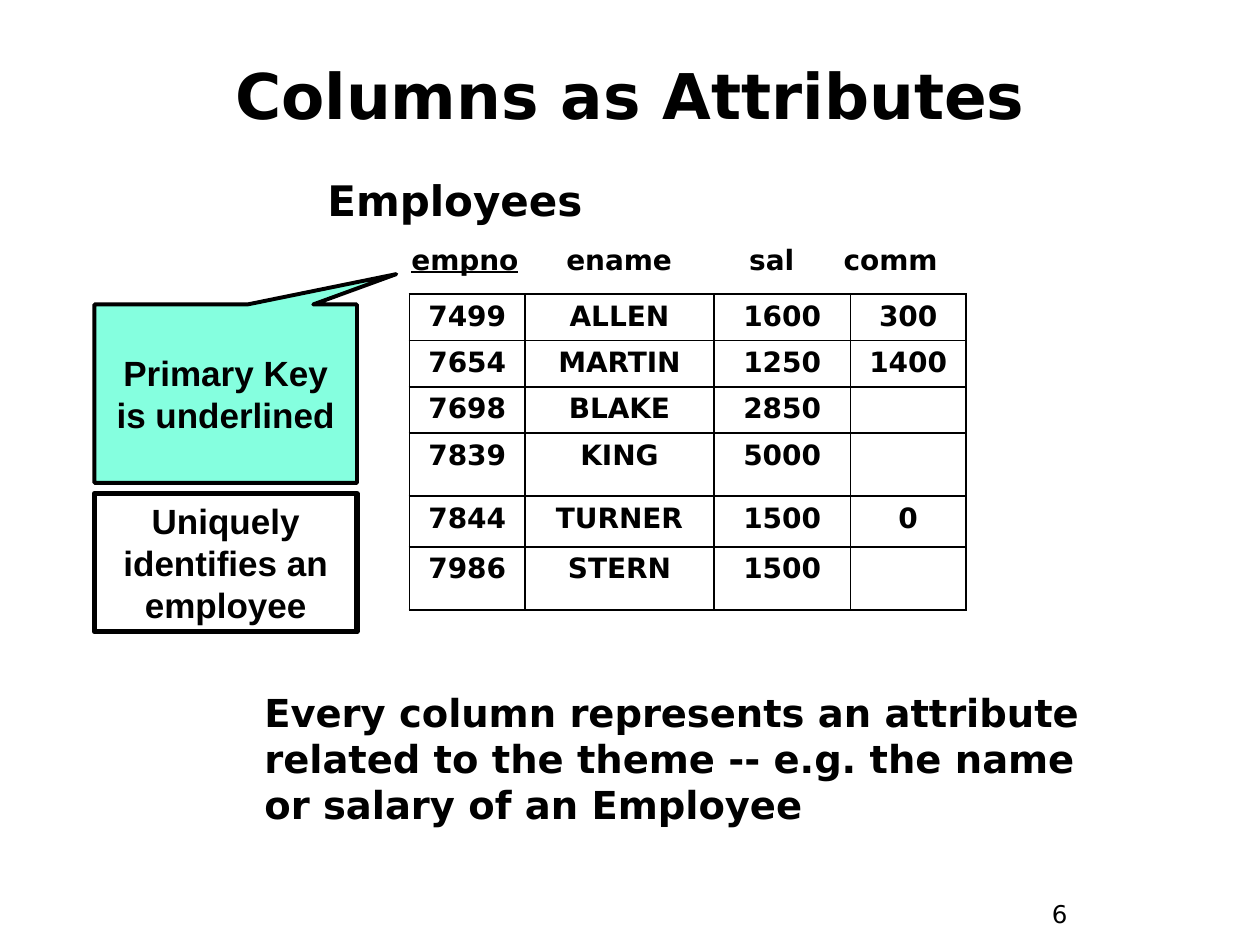
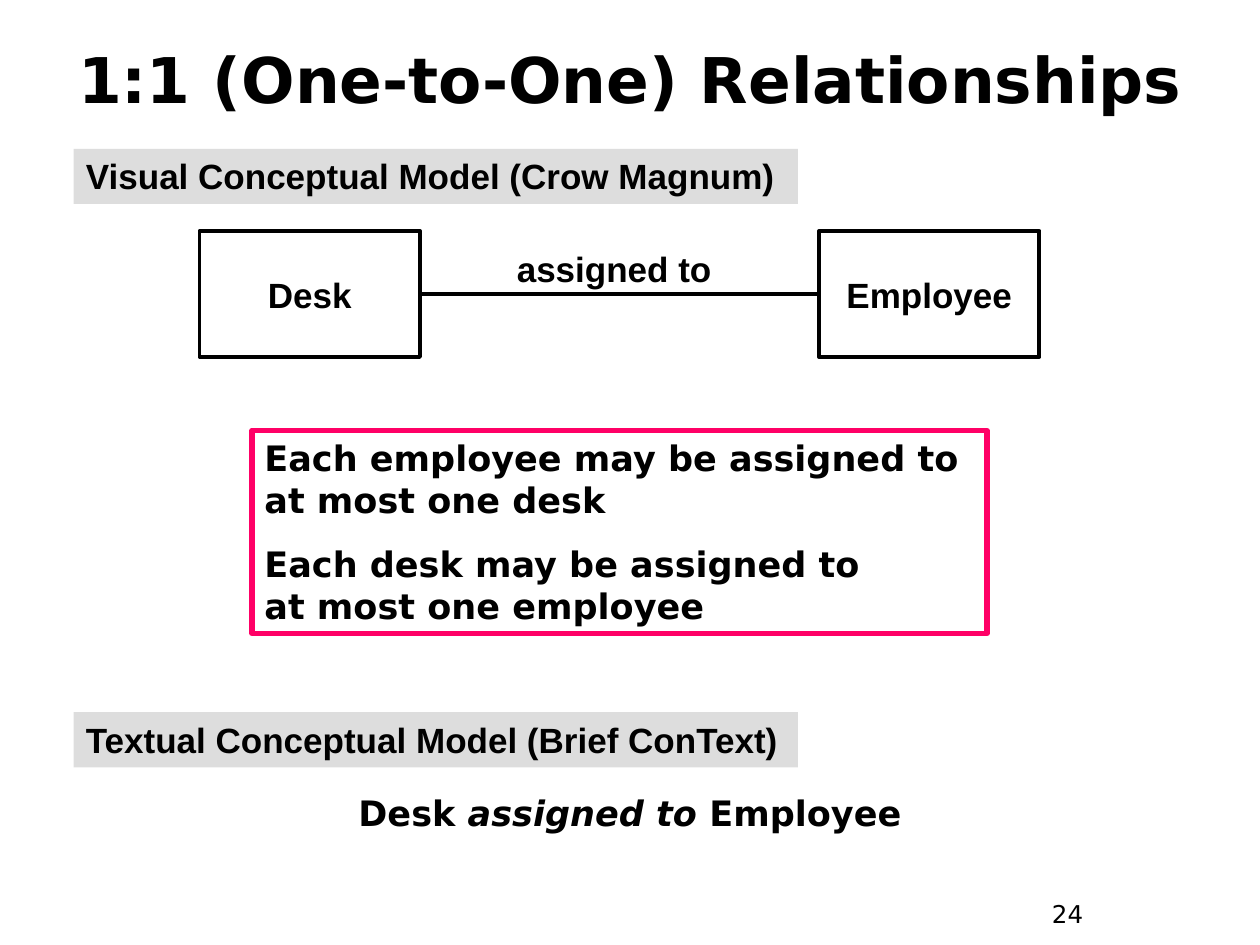
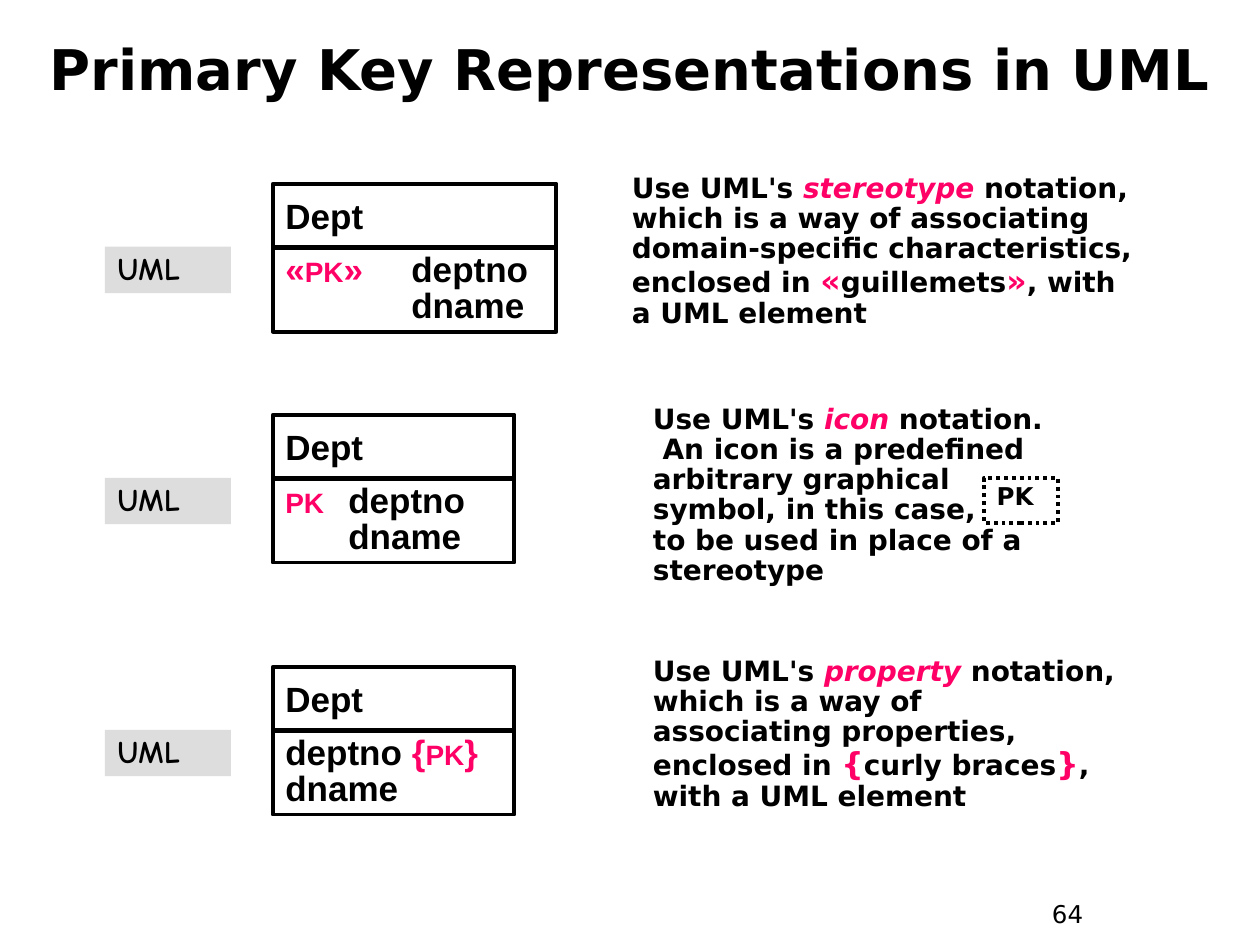
from lxml.etree import SubElement
from pptx import Presentation
from pptx.dml.color import RGBColor
from pptx.enum.dml import MSO_LINE
from pptx.enum.shapes import MSO_CONNECTOR, MSO_SHAPE
from pptx.enum.text import MSO_ANCHOR as ANCHOR, MSO_AUTO_SIZE, PP_ALIGN as ALIGN
from pptx.oxml.ns import qn
from pptx.util import Pt

COLORS = {"ink": "000000", "accent": "FF0066", "band": "DDDDDD", "callout": "85FFDF"}
SANS, HEADING, HAND = "Arial", "DejaVu Sans", "Comic Neue"
PINK = {"color": "accent"}
TERM = {"color": "accent", "italic": True}


def write(frame, paragraphs, size=20, font=HEADING, bold=True, align=ALIGN.LEFT,
          anchor=ANCHOR.TOP, line_spacing=None, space_before=0, tabs=()):
    """Fill a text frame; a paragraph is a string or a list of strings and (text, format) spans."""
    frame.word_wrap = True
    frame.auto_size = MSO_AUTO_SIZE.NONE
    frame.vertical_anchor = anchor
    for index, spans in enumerate(paragraphs):
        para = frame.add_paragraph() if index else frame.paragraphs[0]
        if tabs:
            tab_list = SubElement(para._p.get_or_add_pPr(), qn("a:tabLst"))
            for position in tabs:
                SubElement(tab_list, qn("a:tab"), pos=str(Pt(position)), algn="l")
        para.alignment = align
        para.line_spacing = line_spacing
        para.space_before = Pt(space_before if index else 0)
        for span in [spans] if isinstance(spans, str) else spans:
            text, look = (span, {}) if isinstance(span, str) else span
            for number, line in enumerate(text.split("\n")):
                if number:
                    para.add_line_break()
                run = para.add_run()
                run.text = line
                run.font.name = font
                run.font.size = Pt(look.get("size", size))
                run.font.bold = bold
                run.font.italic = look.get("italic", False)
                run.font.underline = look.get("underline", False)
                run.font.color.rgb = RGBColor.from_string(COLORS[look.get("color", "ink")])


def add_box(page, bounds, paragraphs, fill=None, line=None, weight=2.25,
            shape=MSO_SHAPE.RECTANGLE, **text_format):
    """Add a filled or outlined shape, or a plain text box when it has neither."""
    lengths = [Pt(value) for value in bounds]
    if fill or line:
        box = page.shapes.add_shape(shape, *lengths)
        box.shadow.inherit = False
        if fill:
            box.fill.solid()
            box.fill.fore_color.rgb = RGBColor.from_string(COLORS[fill])
        else:
            box.fill.background()
        if line:
            box.line.color.rgb = RGBColor.from_string(COLORS[line])
            box.line.width = Pt(weight)
        else:
            box.line.fill.background()
    else:
        box = page.shapes.add_textbox(*lengths)
    write(box.text_frame, paragraphs, **text_format)
    return box


deck = Presentation()
deck.slide_width, deck.slide_height = Pt(720), Pt(540)

# Titles and page numbers
pages = []
for title_text, page_number, title_size, bounds in [
    ("Columns as Attributes", "6", 36, (24, 36, 672, 36)),
    ("1:1 (One-to-One) Relationships", "24", 36, (24, 12, 672, 66)),
    ("Primary Key Representations in UML", "64", 32, (12, 6, 696, 66)),
]:
    page = deck.slides.add_slide(deck.slide_layouts[5])
    title = page.shapes.title
    title.left, title.top, title.width, title.height = [Pt(value) for value in bounds]
    write(title.text_frame, [title_text], size=title_size, align=ALIGN.CENTER,
          anchor=ANCHOR.MIDDLE)
    add_box(page, (594, 510, 54, 26.5), [page_number], size=14, bold=False)
    pages.append(page)
attributes_page, relationship_page, key_page = pages

# Columns as attributes
add_box(attributes_page, (144, 390, 480, 86),
        ["Every column represents an attribute related to the theme -- e.g. the name "
         "or salary of an Employee"], size=22)
add_box(attributes_page, (228, 135, 384, 26.5),
        [[("empno", {"underline": True}), "\tename\tsal\tcomm"]],
        size=16, tabs=(88.5, 193, 247))
add_box(attributes_page, (180, 96, 168, 36), ["Employees"], size=24)
callout = add_box(attributes_page, (54, 174, 150, 102), ["Primary Key is underlined"],
                  fill="callout", line="ink", shape=MSO_SHAPE.RECTANGULAR_CALLOUT,
                  font=SANS, align=ALIGN.CENTER, anchor=ANCHOR.MIDDLE)
callout.adjustments[0], callout.adjustments[1] = 0.65, -0.67
add_box(attributes_page, (54, 282, 150, 79), ["Uniquely identifies an employee"],
        line="ink", weight=3, font=SANS, align=ALIGN.CENTER)

employees = [
    ("7499", "ALLEN", "1600", "300"),
    ("7654", "MARTIN", "1250", "1400"),
    ("7698", "BLAKE", "2850", ""),
    ("7839", "KING", "5000", ""),
    ("7844", "TURNER", "1500", "0"),
    ("7986", "STERN", "1500", ""),
]
column_widths = (66, 108, 78, 66)
row_heights = (26.5, 26.5, 26.5, 36, 29, 36)
table = attributes_page.shapes.add_table(
    len(employees), len(column_widths), Pt(234), Pt(168),
    Pt(sum(column_widths)), Pt(sum(row_heights))).table
table.first_row = table.horz_banding = False
for column, width in zip(table.columns, column_widths):
    column.width = Pt(width)
for row, height, values in zip(table.rows, row_heights, employees):
    row.height = Pt(height)
    for cell, value in zip(row.cells, values):
        if value:
            write(cell.text_frame, [value], size=16, align=ALIGN.CENTER)
        else:
            cell.margin_top = cell.margin_bottom = 0
        for side in ("a:lnL", "a:lnR", "a:lnT", "a:lnB"):
            border = SubElement(cell._tc.get_or_add_tcPr(), qn(side), w=str(Pt(1.08)))
            SubElement(SubElement(border, qn("a:solidFill")), qn("a:srgbClr"),
                       val=COLORS["ink"])
        cell.fill.background()

# One-to-one relationship
desk, employee = [
    add_box(relationship_page, (left, 132, 126, 72), [name], line="ink", font=SANS,
            align=ALIGN.CENTER, anchor=ANCHOR.MIDDLE)
    for left, name in [(114, "Desk"), (468, "Employee")]
]
link = relationship_page.shapes.add_connector(
    MSO_CONNECTOR.STRAIGHT, Pt(240), Pt(168), Pt(468), Pt(168))
link.begin_connect(desk, 3)
link.end_connect(employee, 1)
link.line.color.rgb = RGBColor.from_string(COLORS["ink"])
link.line.width = Pt(2.25)
SubElement(link._element.spPr, qn("a:effectLst"))
add_box(relationship_page, (276, 138, 150, 32), ["assigned to"], font=SANS,
        align=ALIGN.CENTER)
add_box(relationship_page, (144, 246, 420, 116),
        ["Each employee may be assigned to at most one desk",
         "Each desk may be assigned to\nat most one employee"],
        line="accent", weight=3, space_before=12.5)
add_box(relationship_page, (66, 448.5, 588, 32),
        [["Desk ", ("assigned to", {"italic": True}), " Employee"]], align=ALIGN.CENTER)
for top, heading in [(85, "Visual Conceptual Model (Crow Magnum)"),
                     (407, "Textual Conceptual Model (Brief ConText)")]:
    add_box(relationship_page, (42, top, 414, 31.5), [heading], fill="band", font=SANS)

# Primary key notations
small_pink = {"color": "accent", "size": 16}
mark = {"color": "accent", "size": 18}
notations = [
    (105, 162, 72,
     [[("«", PINK), ("PK", small_pink), ("»", PINK), "\tdeptno"], "\tdname"],
     (354, 306, 96),
     ["Use UML's ", ("stereotype ", TERM),
      "notation, which is a way of associating domain-specific characteristics, enclosed in ",
      ("«", mark), "guillemets", ("»", mark), ", with a UML element"]),
    (237, 138, 36,
     [[("PK", small_pink), "\tdeptno"], "\tdname"],
     (366, 240, 111),
     ["Use UML's ", ("icon ", TERM),
      "notation.\n An icon is a predefined arbitrary graphical symbol, in this case,\n"
      "to be used in place of a stereotype"]),
    (381, 138, 36,
     [["deptno ", ("{", PINK), ("PK", small_pink), ("}", PINK)], "dname"],
     (366, 294, 96),
     ["Use UML's ", ("property ", TERM),
      "notation, which is a way of\nassociating properties, enclosed in ",
      ("{", mark), "curly braces", ("}", mark), ", with a UML element"]),
]
for top, class_width, tab, fields, (left, width, height), explanation in notations:
    add_box(key_page, (60, top + 36, 72, 26.5), ["UML"], fill="band", size=18, font=HAND,
            line_spacing=0.9)
    add_box(key_page, (156, top, class_width, 36), ["Dept"], line="ink", font=SANS,
            anchor=ANCHOR.MIDDLE)
    add_box(key_page, (156, top + 36.5, class_width, 48), fields, line="ink", font=SANS,
            line_spacing=0.85, tabs=(tab,))
    add_box(key_page, (left, top - 9, width, height), [explanation], size=16,
            line_spacing=0.9)
icon = add_box(key_page, (562.5, 273, 42, 26), ["PK"], line="ink", size=14, line_spacing=0.9)
icon.line.dash_style = MSO_LINE.ROUND_DOT

deck.save("out.pptx")
